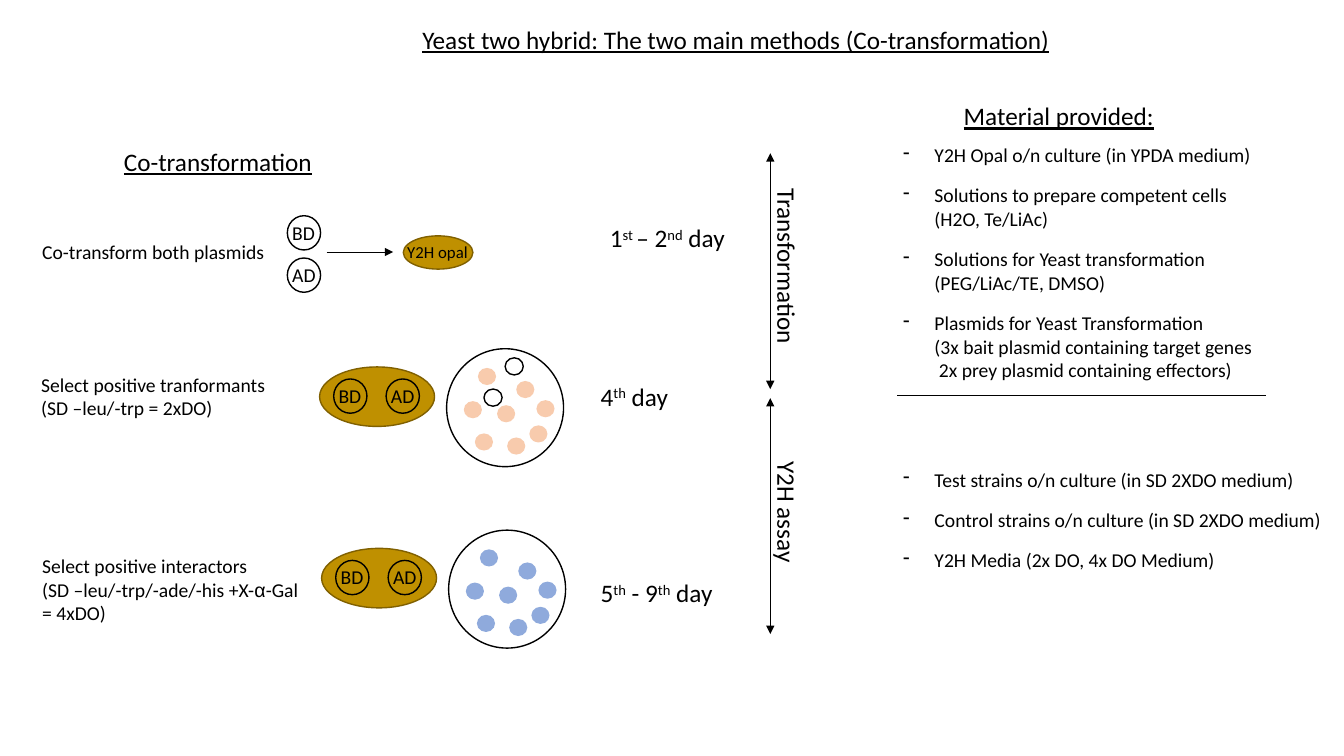
from lxml.etree import SubElement
from pptx import Presentation
from pptx.dml.color import RGBColor
from pptx.enum.shapes import MSO_CONNECTOR, MSO_SHAPE
from pptx.enum.text import MSO_AUTO_SIZE
from pptx.oxml.ns import qn
from pptx.util import Pt

PX = 9144
COLORS = {
    "ink": "000000",
    "paper": "FFFFFF",
    "yeast": "BF9000",
    "yeast_edge": "806000",
    "transformant": "F8CBAD",
    "interactor": "8FAADC",
}
COLONIES = [(31, 19), (69, 32), (17, 52), (50, 56),
            (28, 84), (60, 88), (82, 76), (89, 51)]
TRANSFORMATION_MATERIAL = [
    ("Y2H Opal o/n culture (in YPDA medium)", []),
    ("Solutions to prepare competent cells", ["(H2O, Te/LiAc)"]),
    ("Solutions for Yeast transformation", ["(PEG/LiAc/TE, DMSO)"]),
    ("Plasmids for Yeast Transformation",
     ["(3x bait plasmid containing target genes",
      " 2x prey plasmid containing effectors)"]),
]
ASSAY_MATERIAL = [
    ("Test strains o/n culture (in SD 2XDO medium)", []),
    ("Control strains o/n culture (in SD 2XDO medium)", []),
    ("Y2H Media (2x DO, 4x DO Medium)", []),
]


def rgb(name):
    return RGBColor.from_string(COLORS[name])


def emu(*lengths):
    return [n * PX for n in lengths]


def add_runs(p, text, size, underline=False):
    for i, piece in enumerate(text.split("^")):
        if not piece:
            continue
        r = p.add_run()
        r.text = piece
        r.font.size = Pt(size)
        r.font.name = "Arial" if piece == "α" else "Calibri"
        r.font.color.rgb = rgb("ink")
        if underline:
            r.font.underline = True
        if i % 2 and piece != "α":
            r._r.get_or_add_rPr().set("baseline", "30000")


def add_box(s, x, y, w, h, wrap=False):
    sp = s.shapes.add_textbox(*emu(x, y, w, h))
    tf = sp.text_frame
    tf.word_wrap = wrap
    tf.auto_size = MSO_AUTO_SIZE.SHAPE_TO_FIT_TEXT
    return sp


def add_text(s, x, y, w, h, lines, size, underline=False, wrap=False, turn=0):
    sp = add_box(s, x, y, w, h, wrap)
    sp.rotation = turn
    tf = sp.text_frame
    for i, line in enumerate(lines):
        p = tf.add_paragraph() if i else tf.paragraphs[0]
        add_runs(p, line, size, underline)


def add_materials(s, x, y, w, h, items):
    tf = add_box(s, x, y, w, h).text_frame
    p = None
    for title, details in items:
        for i, line in enumerate([title] + details):
            p = tf.add_paragraph() if p else tf.paragraphs[0]
            add_runs(p, line, 14)
            pPr = p._p.get_or_add_pPr()
            pPr.set("marL", str(31 * PX))
            pPr.set("indent", "0" if i else str(-31 * PX))
            if i == len(details):
                p.space_after = Pt(12)
            if i == 0:
                SubElement(pPr, qn("a:buFontTx"))
                SubElement(pPr, qn("a:buChar")).set("char", "-")
    if items[-1][1]:
        p.space_after = Pt(0)


def add_ellipse(s, x, y, w, h, fill=None, line="ink"):
    sp = s.shapes.add_shape(MSO_SHAPE.OVAL, *emu(x, y, w, h))
    sp.shadow.inherit = False
    if fill:
        sp.fill.solid()
        sp.fill.fore_color.rgb = rgb(fill)
    else:
        sp.fill.background()
    if line:
        sp.line.color.rgb = rgb(line)
        sp.line.width = Pt(1)
    else:
        sp.line.fill.background()


def add_line(s, x1, y1, x2, y2, ends=()):
    cn = s.shapes.add_connector(MSO_CONNECTOR.STRAIGHT, *emu(x1, y1, x2, y2))
    cn.line.color.rgb = rgb("ink")
    cn.line.width = Pt(0.5)
    ln = cn.line._get_or_add_ln()
    for end in ends:
        SubElement(ln, qn("a:" + end)).set("type", "triangle")
    SubElement(cn._element.spPr, qn("a:effectLst"))


def add_plasmid(s, x, y, name):
    add_ellipse(s, x, y, 33, 34)
    add_text(s, x - 5, y, 44, 34, [name], 14)


def add_yeast(s, x, y):
    add_ellipse(s, x, y, 114, 59, "yeast", "yeast_edge")
    add_plasmid(s, x + 14, y + 12, "BD")
    add_plasmid(s, x + 66, y + 12, "AD")


def add_colony(s, x, y, fill, line=None):
    add_ellipse(s, x, y, 18, 17, fill, line)


def add_plate(s, x, y, fill):
    add_ellipse(s, x, y, 116, 117)
    for dx, dy in COLONIES:
        add_colony(s, x + dx, y + dy, fill)


def main():
    prs = Presentation()
    prs.slide_width, prs.slide_height = emu(1333, 750)
    s = prs.slides.add_slide(prs.slide_layouts[6])

    add_text(s, 409, 19, 650, 40,
             ["Yeast two hybrid: The two main methods (Co-transformation)"],
             18, underline=True)
    add_text(s, 113, 140, 428, 40, ["Co-transformation"], 18, True, True)
    add_text(s, 946, 95, 219, 40, ["Material provided:"], 18, True, True)

    add_text(s, 32, 233, 243, 34, ["Co-transform both plasmids"], 14)
    add_plasmid(s, 285, 214, "BD")
    add_plasmid(s, 285, 256, "AD")
    add_line(s, 324, 250, 390, 250, ["tailEnd"])
    add_ellipse(s, 400, 234, 69, 33, "yeast", "yeast_edge")
    add_text(s, 394, 235, 81, 30, ["Y2H opal"], 12)

    add_text(s, 31, 365, 245, 57,
             ["Select positive tranformants", "(SD –leu/-trp = 2xDO)"], 14)
    add_text(s, 32, 545, 277, 81,
             ["Select positive interactors",
              "(SD –leu/-trp/-ade/-his +X-^α^-Gal", "= 4xDO)"], 14)
    for x, y, fill in [(317, 364, "transformant"), (319, 544, "interactor")]:
        add_yeast(s, x, y)
        add_plate(s, x + 126, y - 18, fill)
    for x, y in [(501, 355), (480, 386)]:
        add_colony(s, x, y, "paper", "ink")

    for x, y, w, day in [(595, 216, 142, "1^st ^– 2^nd^ day"),
                         (586, 373, 90, "4^th^ day"),
                         (586, 568, 136, "5^th^ - 9^th^ day")]:
        add_text(s, x, y, w, 40, [day], 18)

    for y, x, text_y, w, phase in [(152, 693, 245, 176, "Transformation"),
                                   (395, 720, 489, 122, "Y2H assay")]:
        add_line(s, 764, y, 764, y + 234, ["headEnd", "tailEnd"])
        add_text(s, x, text_y, w, 40, [phase], 18, turn=90)

    add_materials(s, 886, 137, 369, 249, TRANSFORMATION_MATERIAL)
    add_line(s, 890, 392, 1256, 392)
    add_materials(s, 886, 459, 438, 114, ASSAY_MATERIAL)

    prs.save("out.pptx")


if __name__ == "__main__":
    main()
